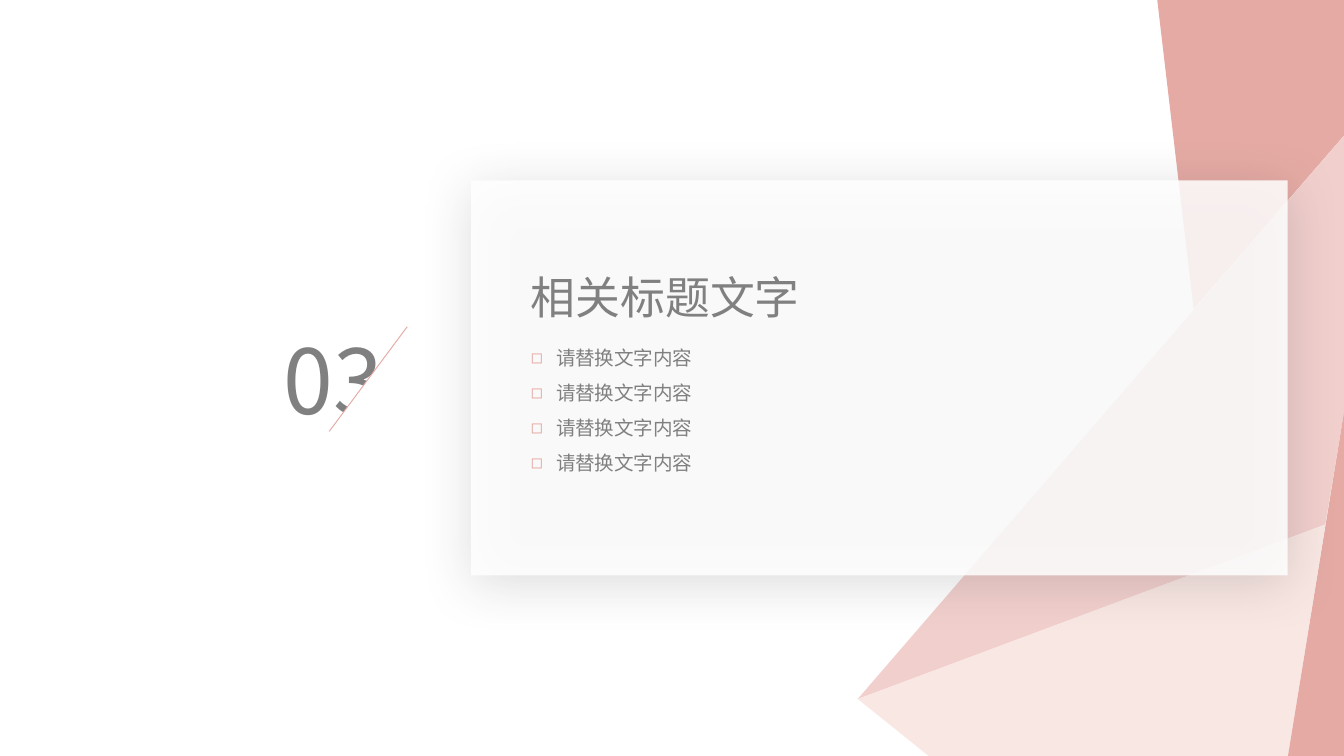
from lxml import etree
from pptx import Presentation
from pptx.dml.color import RGBColor
from pptx.enum.shapes import MSO_CONNECTOR, MSO_SHAPE
from pptx.enum.text import MSO_ANCHOR, MSO_AUTO_SIZE, PP_ALIGN
from pptx.oxml.ns import qn
from pptx.util import Pt

RECTANGLE, TRIANGLE = MSO_SHAPE.RECTANGLE, MSO_SHAPE.RIGHT_TRIANGLE
STRAIGHT = MSO_CONNECTOR.STRAIGHT
TOP, LEFT, NO_FIT = MSO_ANCHOR.TOP, PP_ALIGN.LEFT, MSO_AUTO_SIZE.NONE

FONT = "Noto Sans CJK SC"
WHITE = RGBColor(0xFF, 0xFF, 0xFF)
GRAY = RGBColor(0x80, 0x80, 0x80)
ROSE = RGBColor(0xE5, 0xAA, 0xA4)
PINK = RGBColor(0xF1, 0xCF, 0xCD)
CREAM = RGBColor(0xF9, 0xE7, 0xE3)
SHADOW = RGBColor(0x33, 0x33, 0x33)


def paint(shape, color):
    shape.shadow.inherit = False
    shape.fill.solid()
    shape.fill.fore_color.rgb = color
    shape.line.fill.background()


def write(shape, box, lines, size, spacing, wrap=True):
    shape.left, shape.top, shape.width, shape.height = map(Pt, box)
    frame = shape.text_frame
    frame.text = "\n".join(lines)
    frame.word_wrap = wrap
    frame.auto_size = NO_FIT
    frame.vertical_anchor = TOP
    for paragraph in frame.paragraphs:
        paragraph.alignment = LEFT
        paragraph.line_spacing = Pt(spacing)
        paragraph.space_before = Pt(0)
        font = paragraph.font
        font.name, font.size, font.color.rgb = FONT, Pt(size), GRAY
        properties = paragraph._p.pPr.find(qn("a:defRPr"))
        etree.SubElement(properties, qn("a:ea"), typeface=FONT)


presentation = Presentation()
presentation.slide_width, presentation.slide_height = Pt(720), Pt(405)
slide = presentation.slides.add_slide(presentation.slide_layouts[1])
shapes = slide.shapes
title, body = slide.placeholders

# Background facets, meeting at shared corners
left_tip, fold, right_high, right_low = (459.5, 374.5), (710, 281), (720, 72.7), (720, 221)
bottom = (690, 405)
facets = [
    (ROSE, [(639.5, 165.6), (620, 0), (720, 0), right_high]),
    (PINK, [left_tip, fold, right_low, right_high]),
    (CREAM, [left_tip, (497.5, 405), bottom, fold]),
    (ROSE, [bottom, (720, 405), right_low]),
]
for color, corners in facets:
    points = [(Pt(x), Pt(y)) for x, y in corners]
    builder = shapes.build_freeform(*points[0])
    builder.add_line_segments(points[1:], close=True)
    paint(builder.convert_to_shape(), color)

# Translucent card with a soft shadow
card = shapes.add_shape(RECTANGLE, Pt(252.3), Pt(96.7), Pt(437.5), Pt(211.6))
paint(card, WHITE)
card_color = card._element.spPr.find(qn("a:solidFill"))[0]
etree.SubElement(card_color, qn("a:alpha"), val="85000")
effects = card._element.spPr.find(qn("a:effectLst"))
shadow = etree.SubElement(effects, qn("a:outerShdw"), blurRad=str(Pt(29)), dist=str(Pt(5)),
                          dir=str(77 * 60000), algn="ctr", rotWithShape="0")
shadow_color = etree.SubElement(shadow, qn("a:srgbClr"), val=str(SHADOW))
etree.SubElement(shadow_color, qn("a:alpha"), val="20000")

# Section number, cut by a white triangle and a thin slash
number = shapes.add_textbox(0, 0, 0, 0)
write(number, (144.8, 167.8, 70.6, 65.5), ["03"], 48, 60.4)
cut = shapes.add_shape(TRIANGLE, Pt(169.2), Pt(182.2), Pt(56.2), Pt(41.8))
cut.rotation = 270
paint(cut, WHITE)
slash = shapes.add_connector(STRAIGHT, Pt(218.2), Pt(175), Pt(176.4), Pt(231.1))
slash.line.color.rgb = ROSE
slash.line.width = Pt(0.5)
etree.SubElement(slash._element.spPr, qn("a:effectLst"))

# Title and list, brought in front of the card
for placeholder in (title, body):
    shapes._spTree.append(placeholder._element)
write(title, (277.2, 138.2, 159.8, 36), ["相关标题文字"], 24, 31.4, wrap=False)
write(body, (277.2, 175.8, 180, 81.4), ["请替换文字内容"] * 4, 10.5, 18.75)
for paragraph in body.text_frame.paragraphs:
    properties = paragraph._p.pPr
    properties.set("marL", str(Pt(13.5)))
    properties.set("indent", str(Pt(-13.5)))
    bullet_color = etree.Element(qn("a:buClr"))
    etree.SubElement(bullet_color, qn("a:srgbClr"), val=str(ROSE))
    bullet = etree.Element(qn("a:buChar"), char="◻")
    for element in (bullet_color, bullet):
        properties.find(qn("a:defRPr")).addprevious(element)

presentation.save("out.pptx")
